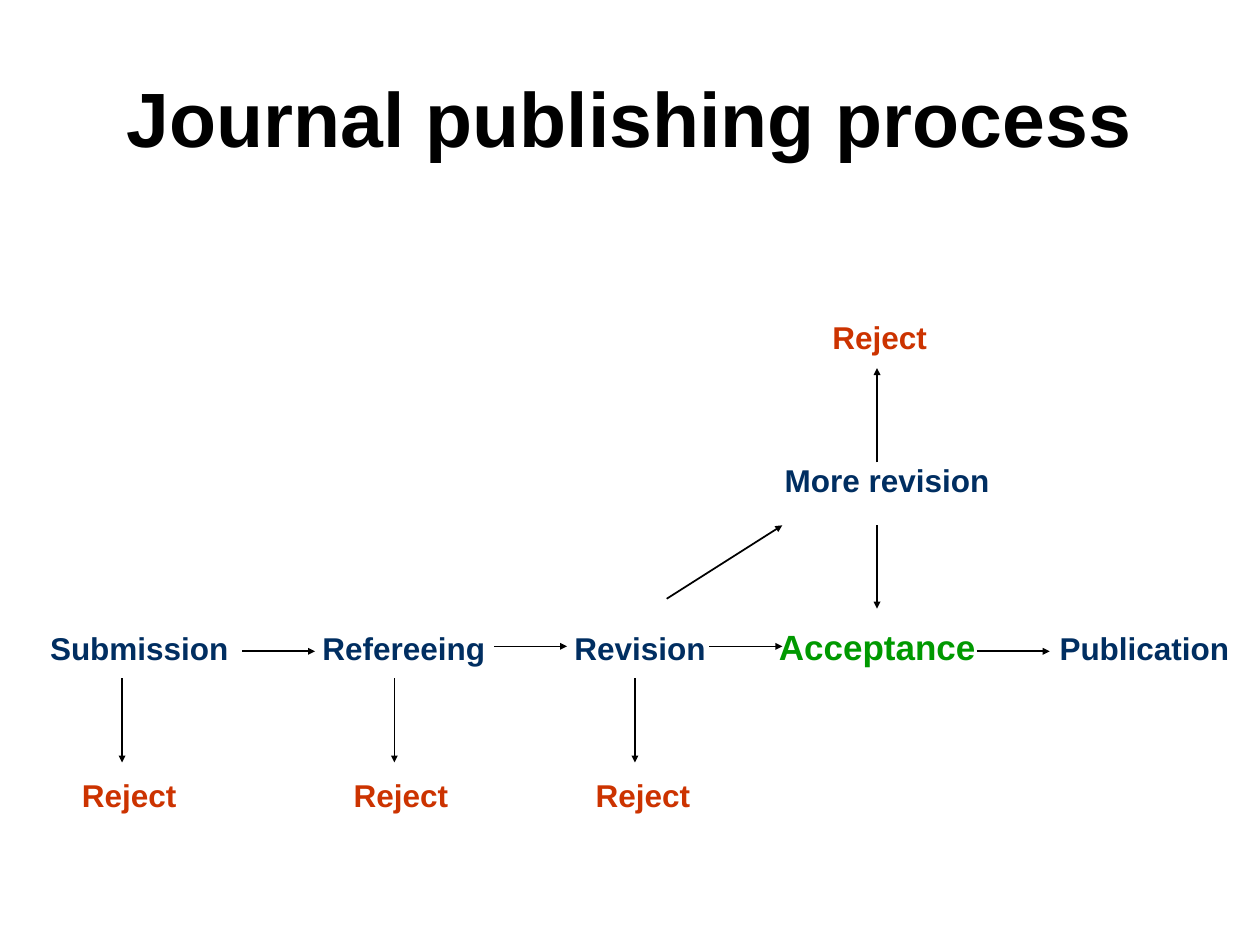
from lxml import etree
from pptx import Presentation
from pptx.dml.color import RGBColor
from pptx.enum.shapes import MSO_CONNECTOR
from pptx.enum.text import MSO_ANCHOR, MSO_AUTO_SIZE, PP_ALIGN
from pptx.oxml.ns import qn
from pptx.util import Cm, Pt

STRAIGHT = MSO_CONNECTOR.STRAIGHT
MIDDLE = MSO_ANCHOR.MIDDLE
FIT_SHAPE = MSO_AUTO_SIZE.SHAPE_TO_FIT_TEXT
CENTER = PP_ALIGN.CENTER

FONT = "Arial"
COLORS = {"black": "000000", "stage": "002E61", "reject": "CC3300", "accept": "009900"}

# All lengths in centimetres
TITLE = "Journal publishing process"
STAGE_TOP, REJECT_TOP = 12.55, 15.52
REJECT_WIDTH = 2.45
ARROW_LENGTH = 1.47

# text, left, top, width, height, size, colour
STAGES = [
    ("Submission", 0.76, STAGE_TOP, 4.15, 1.02, 18, "stage"),
    ("Refereeing", 6.25, STAGE_TOP, 3.85, 1.02, 18, "stage"),
    ("Revision", 11.33, STAGE_TOP, 3.2, 1.02, 18, "stage"),
    ("Acceptance", 15.45, 12.48, 4.5, 1.09, 20, "accept"),
    ("Publication", 21.11, STAGE_TOP, 3.98, 1.02, 18, "stage"),
    ("More revision", 15.57, 9.17, 4.69, 1.02, 18, "stage"),
]
REJECTS = [(1.4, REJECT_TOP), (6.88, REJECT_TOP), (11.76, REJECT_TOP), (16.53, 6.28)]

# start x, y of the arrows between stages; x of the arrows down to a rejection
FORWARD = [(4.88, 13.13), (9.96, 13.03), (14.3, 13.03), (19.69, 13.13)]
DOWN = [2.46, 7.95, 12.8]
# x1, y1, x2, y2
REVISION_LOOP = [
    (17.68, 9.32, 17.68, 7.42),
    (13.44, 12.07, 15.77, 10.59),
    (17.68, 10.59, 17.68, 12.27),
]


def style(p, size, color):
    """Set the bold font of a paragraph."""
    p.font.name = FONT
    p.font.size = Pt(size)
    p.font.bold = True
    p.font.color.rgb = RGBColor.from_string(COLORS[color])


def add_label(s, text, left, top, width, height, size, color):
    """Add a one-line text label."""
    tf = s.shapes.add_textbox(Cm(left), Cm(top), Cm(width), Cm(height)).text_frame
    tf.word_wrap = False
    tf.auto_size = FIT_SHAPE
    tf.text = text
    style(tf.paragraphs[0], size, color)


def add_arrow(s, x1, y1, x2, y2):
    """Add a thin black arrow pointing at its end."""
    line = s.shapes.add_connector(STRAIGHT, Cm(x1), Cm(y1), Cm(x2), Cm(y2))
    line.line.width = Pt(1)
    line.line.color.rgb = RGBColor.from_string(COLORS["black"])
    ln = line.line._get_or_add_ln()
    etree.SubElement(ln, qn("a:tailEnd"), type="triangle", w="sm", len="sm")
    etree.SubElement(line._element.spPr, qn("a:effectLst"))


prs = Presentation()
prs.slide_width, prs.slide_height = Cm(25.4), Cm(19.05)
s = prs.slides.add_slide(prs.slide_layouts[5])

title = s.shapes.title
title.left, title.top, title.width, title.height = Cm(1.27), Cm(0.76), Cm(22.86), Cm(3.18)
tf = title.text_frame
tf.text = TITLE
tf.vertical_anchor = MIDDLE
p = tf.paragraphs[0]
p.alignment = CENTER
style(p, 44, "black")

for stage in STAGES:
    add_label(s, *stage)
for left, top in REJECTS:
    add_label(s, "Reject", left, top, REJECT_WIDTH, 1.02, 18, "reject")

arrows = [(x, y, x + ARROW_LENGTH, y) for x, y in FORWARD]
arrows += [(x, 13.67, x, 15.37) for x in DOWN]
for arrow in arrows + REVISION_LOOP:
    add_arrow(s, *arrow)

prs.save("out.pptx")
